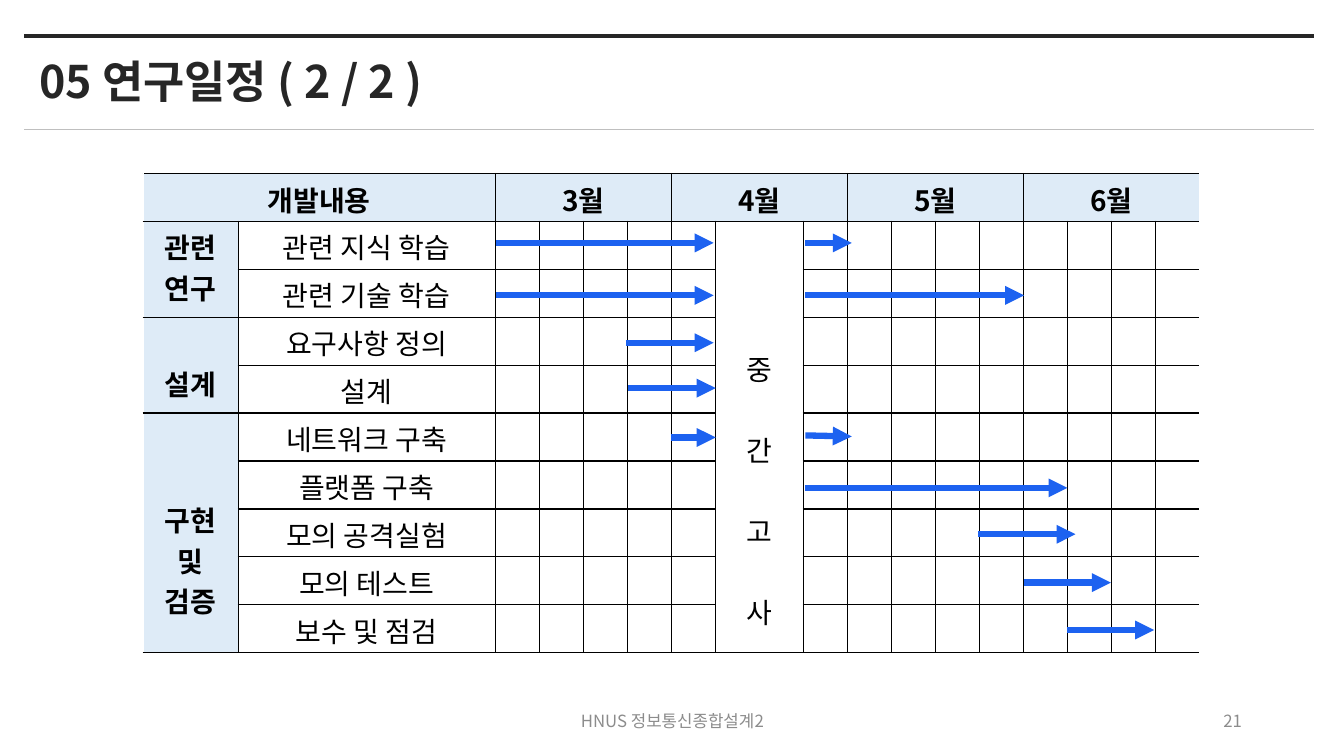
from dataclasses import dataclass

from lxml import etree
from pptx import Presentation
from pptx import util as u
from pptx.dml.color import RGBColor
from pptx.enum import shapes, text
from pptx.oxml.ns import qn


@dataclass(frozen=True)
class Theme:
    font: str = "Noto Sans CJK KR"
    ink: str = "262626"
    black: str = "000000"
    white: str = "FFFFFF"
    rule: str = "BFBFBF"
    footer: str = "8C8C8C"
    heading_fill: str = "DEEBF7"
    arrow: str = "1D62F0"
    title_size: float = 32
    table_size: float = 20
    footer_size: float = 12


@dataclass(frozen=True)
class Label:
    text: str
    left: float
    top: float
    width: float
    height: float
    size: float
    color: str
    bold: bool = False
    align: text.PP_ALIGN = text.PP_ALIGN.LEFT
    anchor: text.MSO_ANCHOR = text.MSO_ANCHOR.TOP
    line_spacing: float = 1.0


@dataclass(frozen=True)
class Line:
    start_x: float
    start_y: float
    end_x: float
    end_y: float
    color: str
    weight: float
    arrow: bool = False


@dataclass(frozen=True)
class Block:
    """A table cell with text, spanning one or more rows and columns."""
    row: int
    column: int
    lines: tuple[str, ...]
    rows: int = 1
    columns: int = 1
    heading: bool = True
    blank_above: int = 0
    blank_between: int = 0


THEME = Theme()
CELL_MARGIN = 3.6
LINE_HEIGHT = 28.9

# Schedule grid: phase, task, then sixteen weeks (the exam takes two)
TABLE_LEFT, TABLE_TOP = 102.24, 123.84
ROW_HEIGHT, ROW_COUNT = 34.27, 10
WEEK = 31.45
COLUMNS = [67.9, 183.6] + [WEEK] * 5 + [2 * WEEK] + [WEEK] * 9

TASKS = ("관련 지식 학습", "관련 기술 학습", "요구사항 정의", "설계", "네트워크 구축",
         "플랫폼 구축", "모의 공격실험", "모의 테스트", "보수 및 점검")

BLOCKS = [
    Block(0, 0, ("개발내용",), columns=2),
    Block(0, 2, ("3월",), columns=4),
    Block(0, 6, ("4월",), columns=3),
    Block(0, 9, ("5월",), columns=4),
    Block(0, 13, ("6월",), columns=4),
    Block(1, 0, ("관련", "연구"), rows=2),
    Block(3, 0, ("설계",), rows=2, blank_above=1),
    Block(5, 0, ("구현", "및", "검증"), rows=5, blank_above=2),
    Block(1, 7, ("중", "간", "고", "사"), rows=9, heading=False,
          blank_above=3, blank_between=1),
] + [Block(row, 1, (task,), heading=False) for row, task in enumerate(TASKS, 1)]

# Task periods: start x, end x, start y, end y
PERIODS = [
    (354.24, 509.76, 173.52, 173.52),
    (575.28, 608.4, 173.52, 173.52),
    (354.24, 509.76, 210.96, 210.96),
    (575.28, 731.52, 210.96, 210.96),
    (447.12, 509.76, 244.8, 244.8),
    (448.56, 511.2, 277.2, 277.2),
    (479.52, 511.2, 312.48, 312.48),
    (575.28, 608.4, 311.04, 311.76),
    (575.28, 762.48, 348.48, 348.48),
    (698.4, 768.24, 381.6, 381.6),
    (731.52, 793.44, 416.16, 416.16),
    (762.48, 824.4, 450, 450),
]

RULES = [
    Line(17.28, 25.92, 938.88, 25.92, THEME.ink, 3),
    Line(17.28, 92.16, 938.88, 92.16, THEME.rule, 0.5),
]

LABELS = [
    Label("05 연구일정 ( 2 / 2 )", 20.88, 38.88, 544.32, 46.08, THEME.title_size,
          THEME.ink, bold=True, line_spacing=0.9),
    Label("21", 678.24, 500.4, 216, 28.8, THEME.footer_size, THEME.footer,
          align=text.PP_ALIGN.RIGHT, anchor=text.MSO_ANCHOR.MIDDLE),
    Label("HNUS 정보통신종합설계2", 318.24, 500.4, 324, 28.8, THEME.footer_size,
          THEME.footer, align=text.PP_ALIGN.CENTER, anchor=text.MSO_ANCHOR.MIDDLE),
]


def style_paragraph(paragraph, size: float, color: str, bold: bool,
                    align: text.PP_ALIGN) -> None:
    paragraph.alignment = align
    font = paragraph.font
    font.size, font.bold = u.Pt(size), bold
    font.color.rgb = RGBColor.from_string(color)
    font.name = THEME.font
    defaults = paragraph._p.pPr.find(qn("a:defRPr"))
    etree.SubElement(defaults, qn("a:ea"), typeface=THEME.font)


def add_label(slide, label: Label) -> None:
    box = slide.shapes.add_textbox(u.Pt(label.left), u.Pt(label.top),
                                   u.Pt(label.width), u.Pt(label.height))
    frame = box.text_frame
    frame.word_wrap = True
    frame.vertical_anchor = label.anchor
    paragraph = frame.paragraphs[0]
    paragraph.text = label.text
    paragraph.line_spacing = label.line_spacing
    style_paragraph(paragraph, label.size, label.color, label.bold, label.align)


def add_line(slide, line: Line) -> None:
    connector = slide.shapes.add_connector(
        shapes.MSO_CONNECTOR.STRAIGHT, u.Pt(line.start_x), u.Pt(line.start_y),
        u.Pt(line.end_x), u.Pt(line.end_y))
    connector.line.color.rgb = RGBColor.from_string(line.color)
    connector.line.width = u.Pt(line.weight)
    properties = connector._element.spPr
    if line.arrow:
        etree.SubElement(properties.find(qn("a:ln")), qn("a:tailEnd"), type="triangle")
    etree.SubElement(properties, qn("a:effectLst"))


def set_borders(cell, first: bool, last: bool) -> None:
    colors = {"lnL": THEME.white if first else THEME.black,
              "lnR": None if last else THEME.black,
              "lnT": THEME.black, "lnB": THEME.black}
    properties = cell._tc.get_or_add_tcPr()
    for position, (side, color) in enumerate(colors.items()):
        border = etree.Element(qn(f"a:{side}"), w=str(u.Pt(1)))
        if color is None:
            etree.SubElement(border, qn("a:noFill"))
        else:
            fill = etree.SubElement(border, qn("a:solidFill"))
            etree.SubElement(fill, qn("a:srgbClr"), val=color)
        properties.insert(position, border)


def fill_block(table, block: Block) -> None:
    cell = table.cell(block.row, block.column)
    if block.rows > 1 or block.columns > 1:
        cell.merge(table.cell(block.row + block.rows - 1,
                              block.column + block.columns - 1))
    cell.margin_top = u.Pt(CELL_MARGIN + block.blank_above * LINE_HEIGHT)
    cell.text = "\n".join(block.lines)
    for index, paragraph in enumerate(cell.text_frame.paragraphs):
        if index and block.blank_between:
            paragraph.space_before = u.Pt(block.blank_between * LINE_HEIGHT)
        style_paragraph(paragraph, THEME.table_size, THEME.black, block.heading,
                        text.PP_ALIGN.CENTER)


def add_schedule(slide) -> None:
    table = slide.shapes.add_table(
        ROW_COUNT, len(COLUMNS), u.Pt(TABLE_LEFT), u.Pt(TABLE_TOP),
        u.Pt(sum(COLUMNS)), u.Pt(ROW_HEIGHT * ROW_COUNT)).table
    table.first_row = table.horz_banding = False
    for column, width in zip(table.columns, COLUMNS):
        column.width = u.Pt(width)
    for row_index, row in enumerate(table.rows):
        row.height = u.Pt(ROW_HEIGHT)
        for column_index, cell in enumerate(row.cells):
            heading = row_index == 0 or column_index == 0
            cell.fill.solid()
            cell.fill.fore_color.rgb = RGBColor.from_string(
                THEME.heading_fill if heading else THEME.white)
            cell.margin_top, cell.margin_bottom = u.Pt(CELL_MARGIN), u.Pt(0)
            block_end = row_index == 0 and column_index == 13
            set_borders(cell, column_index == 0,
                        block_end or column_index == len(COLUMNS) - 1)
    for block in BLOCKS:
        fill_block(table, block)


def main() -> None:
    presentation = Presentation()
    presentation.slide_width, presentation.slide_height = u.Pt(960), u.Pt(540)
    slide = presentation.slides.add_slide(presentation.slide_layouts[6])
    # Title, footer and rules
    for label in LABELS:
        add_label(slide, label)
    for rule in RULES:
        add_line(slide, rule)
    # Schedule with its task arrows
    add_schedule(slide)
    for start_x, end_x, start_y, end_y in PERIODS:
        add_line(slide, Line(start_x, start_y, end_x, end_y, THEME.arrow, 4.5, arrow=True))
    presentation.save("out.pptx")


if __name__ == "__main__":
    main()
